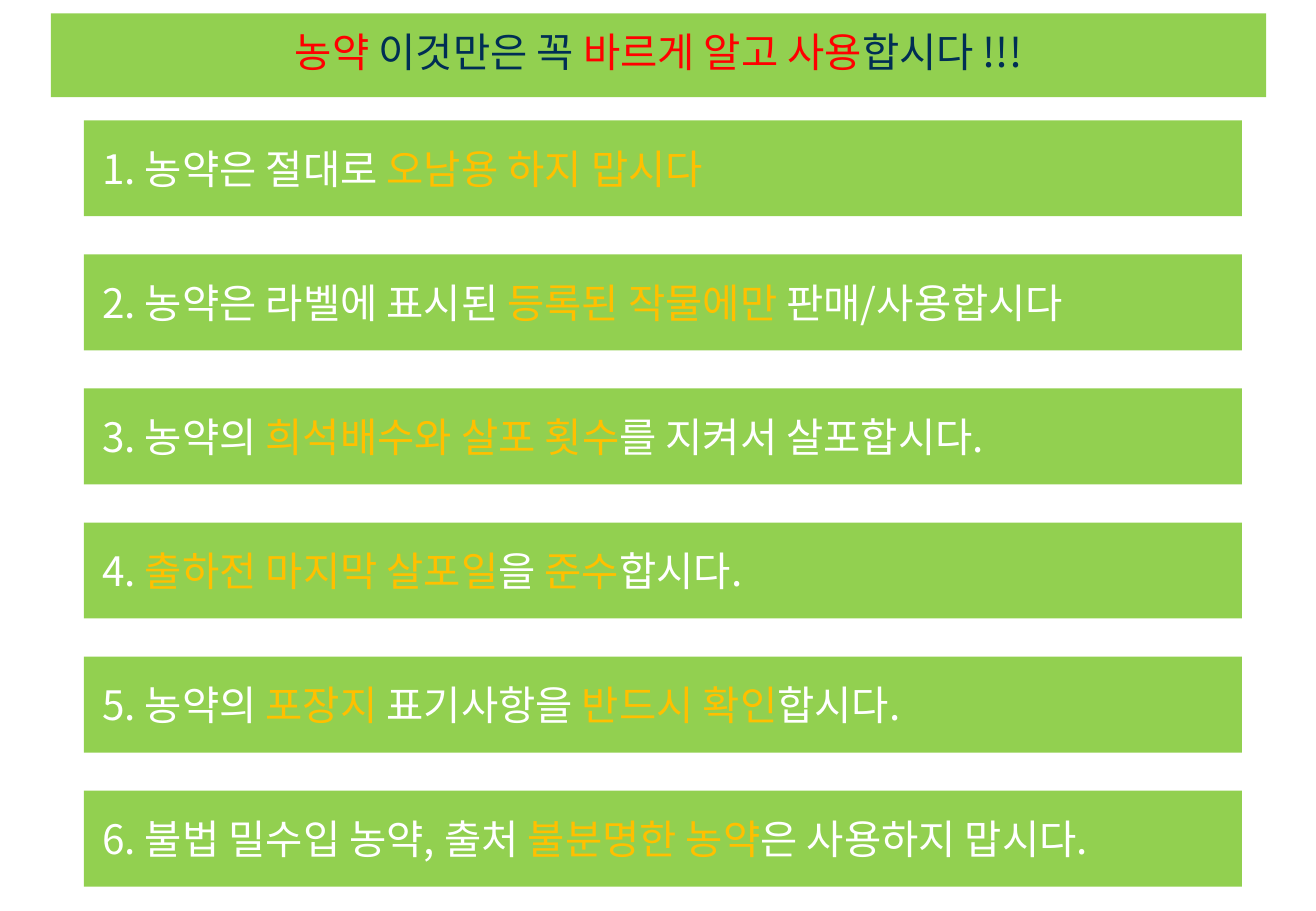
from pptx import Presentation
from pptx.dml.color import RGBColor
from pptx.enum.shapes import MSO_SHAPE
from pptx.enum.text import MSO_ANCHOR, PP_ALIGN
from pptx.oxml import parse_xml
from pptx.oxml.ns import nsdecls
from pptx.util import Inches, Pt

RECT = MSO_SHAPE.RECTANGLE
MIDDLE = MSO_ANCHOR.MIDDLE
LEFT, CENTER = PP_ALIGN.LEFT, PP_ALIGN.CENTER

GREEN = RGBColor(0x92, 0xD0, 0x50)
WHITE = RGBColor(0xFF, 0xFF, 0xFF)
AMBER = RGBColor(0xFF, 0xC0, 0x00)
RED = RGBColor(0xFF, 0x00, 0x00)
NAVY = RGBColor(0x00, 0x2E, 0x54)
FONT = "Noto Sans CJK KR"

TITLE_BOX = (0.42, 0.11, 10, 0.69)
RULES_BOX = (0.69, 0.99, 9.53, 6.31)
BAR_H = 0.79

TITLE = [("농약", RED), (" 이것만은 꼭 ", NAVY), ("바르게 알고 사용", RED),
         ("합시다 !!!", NAVY)]
RULES = [
    [("1. 농약은 절대로 ", WHITE), ("오남용 하지 맙시다", AMBER)],
    [("2. 농약은 라벨에 표시된 ", WHITE), ("등록된 작물에만 ", AMBER),
     ("판매/사용합시다", WHITE)],
    [("3. 농약의 ", WHITE), ("희석배수와 살포 횟수", AMBER),
     ("를 지켜서 살포합시다.", WHITE)],
    [("4. ", WHITE), ("출하전 마지막 살포일", AMBER), ("을 ", WHITE),
     ("준수", AMBER), ("합시다.", WHITE)],
    [("5. 농약의 ", WHITE), ("포장지", AMBER), (" 표기사항을 ", WHITE),
     ("반드시 확인", AMBER), ("합시다.", WHITE)],
    [("6. 불법 밀수입 농약, 출처 ", WHITE), ("불분명한 농약", AMBER),
     ("은 사용하지 맙시다.", WHITE)],
]


def add_text_shadow(r):
    """Put a soft shadow behind the letters of a coloured run."""
    r.font.fill._xPr.append(parse_xml(
        f'<a:effectLst {nsdecls("a")}>'
        '<a:outerShdw blurRad="50800" dist="38100" dir="2700000">'
        '<a:srgbClr val="000000"><a:alpha val="60000"/></a:srgbClr>'
        '</a:outerShdw></a:effectLst>'))


def add_bar(slide, box, parts, align, left=0, bottom=0, shadow=False):
    """Draw a green bar holding one line of (text, colour) parts."""
    sp = slide.shapes.add_shape(RECT, *map(Inches, box))
    sp.shadow.inherit = False
    sp.fill.solid()
    sp.fill.fore_color.rgb = GREEN
    sp.line.fill.background()
    tf = sp.text_frame
    tf.word_wrap = True
    tf.vertical_anchor = MIDDLE
    tf.margin_left, tf.margin_bottom = Inches(left), Inches(bottom)
    tf.margin_top = tf.margin_right = 0
    p = tf.paragraphs[0]
    p.alignment = align
    p.font.size = Pt(24)
    p.font.name = FONT
    p.font._element.append(
        parse_xml(f'<a:ea {nsdecls("a")} typeface="{FONT}"/>'))
    for text, color in parts:
        r = p.add_run()
        r.text = text
        r.font.color.rgb = color
        if shadow:
            add_text_shadow(r)


def add_rules(slide, box):
    """Stack the rule bars evenly from the top to the bottom of the box."""
    x, y, w, h = box
    pitch = (h - BAR_H) / (len(RULES) - 1)
    for i, parts in enumerate(RULES):
        add_bar(slide, (x, y + i * pitch, w, BAR_H), parts, LEFT,
                left=0.15, shadow=True)


def main():
    prs = Presentation()
    prs.slide_width, prs.slide_height = Inches(10.83), Inches(7.5)
    slide = prs.slides.add_slide(prs.slide_layouts[6])
    add_rules(slide, RULES_BOX)
    add_bar(slide, TITLE_BOX, TITLE, CENTER, bottom=0.06)
    prs.save("out.pptx")


if __name__ == "__main__":
    main()
